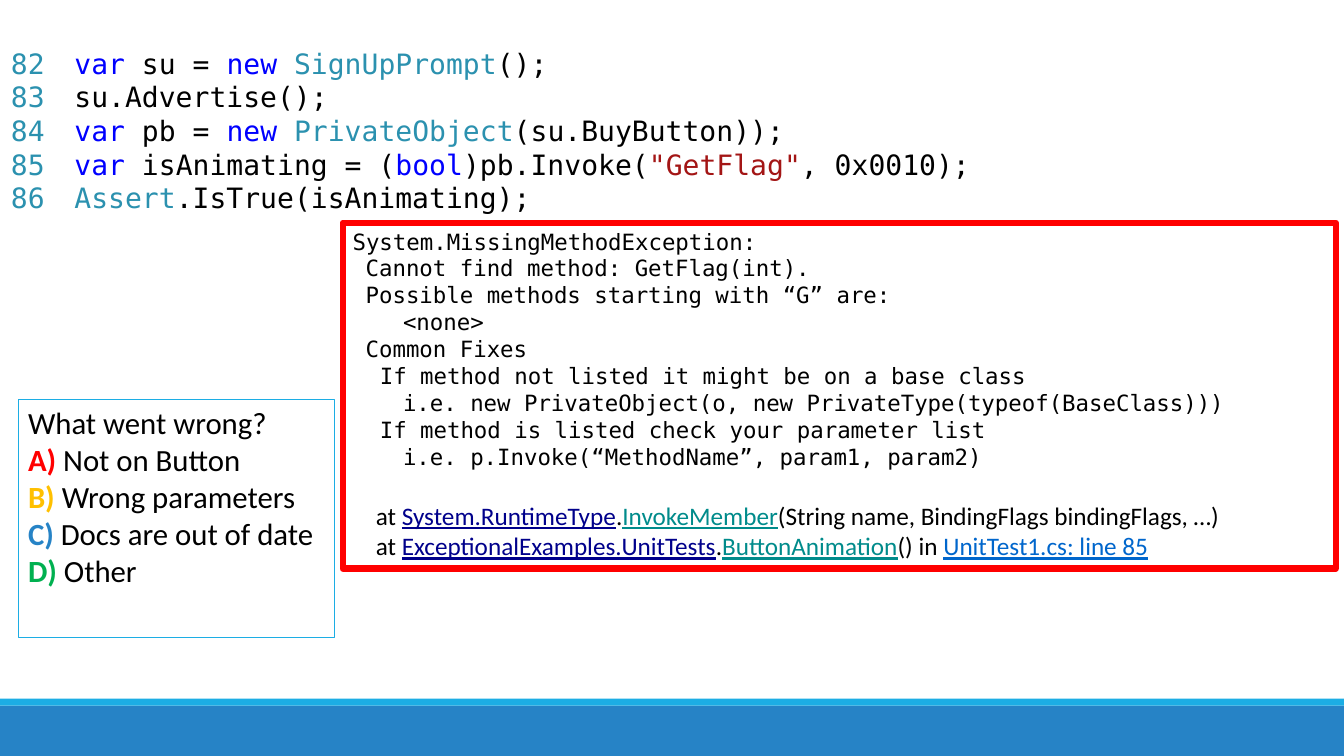
from pptx import Presentation
from pptx.dml.color import RGBColor
from pptx.enum.shapes import MSO_SHAPE
from pptx.enum.text import MSO_ANCHOR, PP_ALIGN
from pptx.util import Inches, Pt

WIDTH, HEIGHT = Inches(13.33), Inches(7.5)
MONO, SANS = "DejaVu Sans Mono", "Calibri"
COLORS = {
    "plain": "000000", "keyword": "0000FF", "type": "2B91AF", "string": "A31515",
    "namespace": "00008B", "method": "008B8B", "file": "0066CC",
    "red": "FF0000", "gold": "FFC000", "blue": "2683C6", "green": "00B050",
    "cyan": "1CADE4",
}
LINKS = {"namespace", "method", "file"}
ANSWERS = {"red", "gold", "blue", "green"}

CODE = [
    [("var", "keyword"), (" su = ", "plain"), ("new", "keyword"), (" ", "plain"),
     ("SignUpPrompt", "type"), ("();", "plain")],
    [("su.Advertise();", "plain")],
    [("var", "keyword"), (" pb = ", "plain"), ("new", "keyword"), (" ", "plain"),
     ("PrivateObject", "type"), ("(su.BuyButton));", "plain")],
    [("var", "keyword"), (" isAnimating = (", "plain"), ("bool", "keyword"),
     (")pb.Invoke(", "plain"), ('"GetFlag"', "string"), (", 0x0010);", "plain")],
    [("Assert", "type"), (".IsTrue(isAnimating);", "plain")],
]
FIRST_LINE = 82
INDENTS = [0, 0.13, 0.27, 0.5]
MESSAGE = [
    (0, "System.MissingMethodException:"),
    (1, "Cannot find method: GetFlag(int)."),
    (1, "Possible methods starting with “G” are:"),
    (3, "<none>"),
    (1, "Common Fixes"),
    (2, "If method not listed it might be on a base class"),
    (3, "i.e. new PrivateObject(o, new PrivateType(typeof(BaseClass)))"),
    (2, "If method is listed check your parameter list"),
    (3, "i.e. p.Invoke(“MethodName”, param1, param2)"),
]
STACK_INDENT = 0.23
STACK = [
    [("at ", "plain"), ("System.RuntimeType", "namespace"), (".", "plain"),
     ("InvokeMember", "method"),
     ("(String name, BindingFlags bindingFlags, …)", "plain")],
    [("at ", "plain"), ("ExceptionalExamples.UnitTests", "namespace"), (".", "plain"),
     ("ButtonAnimation", "method"), ("() in ", "plain"),
     ("UnitTest1.cs: line 85", "file")],
]
QUESTION = [
    [("What went wrong?", "plain")],
    [("A) ", "red"), ("Not on Button", "plain")],
    [("B) ", "gold"), ("Wrong parameters", "plain")],
    [("C) ", "blue"), ("Docs are out of date", "plain")],
    [("D) ", "green"), ("Other", "plain")],
]


def color(name):
    return RGBColor.from_string(COLORS[name])


def place(left, top, width, height):
    return [int(WIDTH * left / 100), int(HEIGHT * top / 100),
            int(WIDTH * width / 100), int(HEIGHT * height / 100)]


def add_bar(page, area, fill):
    bar = page.shapes.add_shape(MSO_SHAPE.RECTANGLE, *place(*area))
    bar.shadow.inherit = False
    bar.fill.solid()
    bar.fill.fore_color.rgb = color(fill)
    bar.line.fill.background()


def add_frame(page, area, line, weight, wrap=True):
    box = page.shapes.add_shape(MSO_SHAPE.RECTANGLE, *place(*area))
    box.shadow.inherit = False
    box.fill.background()
    box.line.color.rgb = color(line)
    box.line.width = Pt(weight)
    box.text_frame.word_wrap = wrap
    box.text_frame.vertical_anchor = MSO_ANCHOR.TOP
    return box.text_frame


def add_text(page, area):
    box = page.shapes.add_textbox(*place(*area))
    box.text_frame.word_wrap = True
    return box.text_frame


def add_line(frame, spans, font, size, indent=0, before=0):
    para = frame.paragraphs[0]
    if para.runs:
        para = frame.add_paragraph()
    para.alignment = PP_ALIGN.LEFT
    para.space_before = Pt(before)
    if font == MONO:
        para.line_spacing = Pt(size * 1.2)
    if indent:
        para._p.get_or_add_pPr().set("marL", str(Inches(indent)))
    for text, style in spans:
        span = para.add_run()
        span.text = text
        span.font.name = font
        span.font.size = Pt(size)
        span.font.color.rgb = color(style)
        span.font.underline = style in LINKS
        span.font.bold = style in ANSWERS


def main():
    deck = Presentation()
    deck.slide_width, deck.slide_height = WIDTH, HEIGHT
    page = deck.slides.add_slide(deck.slide_layouts[6])

    add_bar(page, (0, 93.33, 100, 6.67), "blue")
    add_bar(page, (0, 92.4, 100, 0.93), "cyan")

    numbers = add_text(page, (0.08, 5.47, 4.8, 23.73))
    for number in range(FIRST_LINE, FIRST_LINE + len(CODE)):
        add_line(numbers, [(str(number), "type")], MONO, 20)

    exception = add_frame(page, (25.5, 29.47, 73.89, 45.73), "red", 4.5)
    for level, text in MESSAGE:
        add_line(exception, [(text, "plain")], MONO, 16, INDENTS[level])
    for index, spans in enumerate(STACK):
        add_line(exception, spans, SANS, 18, STACK_INDENT, 0 if index else 22)

    question = add_frame(page, (1.35, 52.8, 23.55, 31.47), "cyan", 0.75, wrap=False)
    for spans in QUESTION:
        add_line(question, spans, SANS, 22)

    code = add_text(page, (4.8, 5.47, 93.9, 23.73))
    for spans in CODE:
        add_line(code, spans, MONO, 20)

    deck.save("out.pptx")


if __name__ == "__main__":
    main()
